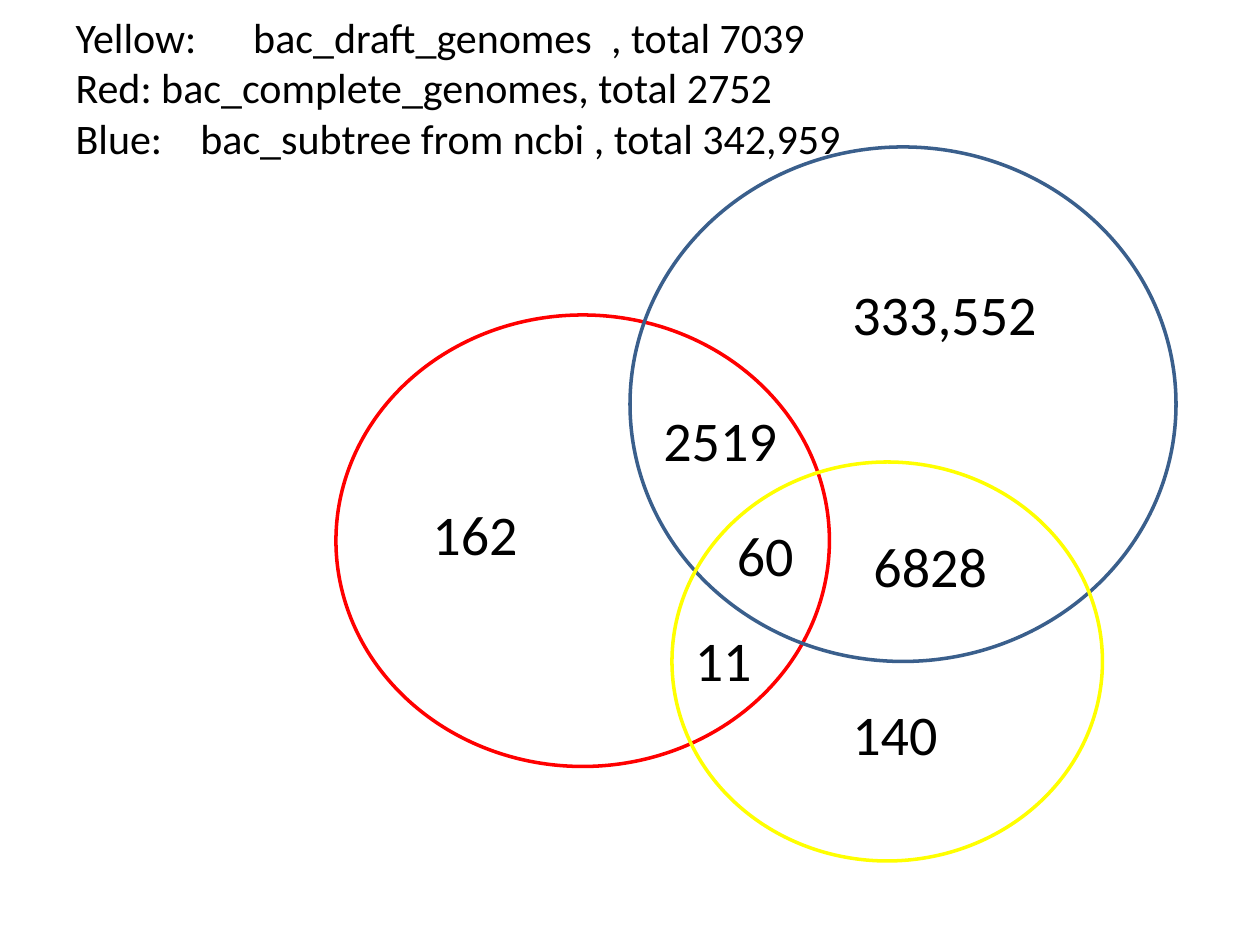
import pptx
import pptx.util
import pptx.dml.color
import pptx.enum.shapes
import pptx.enum.text
import pptx.oxml.ns
import lxml.etree

Inches, Pt = pptx.util.Inches, pptx.util.Pt
RGBColor = pptx.dml.color.RGBColor
PP_ALIGN = pptx.enum.text.PP_ALIGN

BLACK = RGBColor(0x00, 0x00, 0x00)
RED = RGBColor(0xFF, 0x00, 0x00)
BLUE = RGBColor(0x3A, 0x5F, 0x8C)
YELLOW = RGBColor(0xFF, 0xFF, 0x00)
FONT = "Calibri"
UNIT = 1 / 12  # grid step in inches

# Legend lines: text, tab stops in inches
LEGEND = [
    ("Yellow:\tbac_draft_genomes\t, total 7039", (1.41, 4.25)),
    ("Red: bac_complete_genomes, total 2752", ()),
    ("Blue:\tbac_subtree from ncbi , total 342,959", (0.99,)),
]
# Venn circles: colour, then left, top, width, height in grid steps
CIRCLES = [
    (RED, 32, 30, 47, 43),
    (BLUE, 60, 14, 52, 49),
    (YELLOW, 64, 44, 41, 38),
]
# Region counts: text, then left, top in grid steps
COUNTS = [
    ("162", 40, 47),
    ("60", 69, 49),
    ("11", 65, 59),
    ("2519", 62, 38),
    ("6828", 82, 50),
    ("140", 80, 66),
    ("333,552", 80, 26),
]
COUNT_WIDTHS = {2: 0.66, 3: 0.89, 4: 1.11, 7: 1.68}  # by text length


def grid(*steps):
    return [Inches(n * UNIT) for n in steps]


def add_text(p, text, size):
    p.alignment = PP_ALIGN.LEFT
    r = p.add_run()
    r.text = text
    r.font.size = Pt(size)
    r.font.name = FONT
    r.font.color.rgb = BLACK


def set_tabs(p, stops):
    qn = pptx.oxml.ns.qn
    tabs = lxml.etree.SubElement(p._p.get_or_add_pPr(), qn("a:tabLst"))
    for stop in stops:
        lxml.etree.SubElement(tabs, qn("a:tab"), pos=str(Inches(stop)), algn="l")


prs = pptx.Presentation()
prs.slide_width, prs.slide_height = Inches(10), Inches(7.5)
s = prs.slides.add_slide(prs.slide_layouts[5])

# Title used as the legend
title = s.shapes.title
title.left, title.top = Inches(0.5), Inches(0.3)
title.width, title.height = Inches(9), Inches(0.78)
tf = title.text_frame
tf.auto_size = pptx.enum.text.MSO_AUTO_SIZE.NONE
tf.vertical_anchor = pptx.enum.text.MSO_ANCHOR.MIDDLE
for i, (text, stops) in enumerate(LEGEND):
    p = tf.add_paragraph() if i else tf.paragraphs[0]
    add_text(p, text, 24)
    if stops:
        set_tabs(p, stops)

# Venn circles
for colour, *box in CIRCLES:
    sp = s.shapes.add_shape(pptx.enum.shapes.MSO_SHAPE.OVAL, *grid(*box))
    sp.shadow.inherit = False
    sp.fill.background()
    sp.line.color.rgb = colour
    sp.line.width = Pt(2)

# Region counts
for text, left, top in COUNTS:
    sp = s.shapes.add_textbox(*grid(left, top), Inches(COUNT_WIDTHS[len(text)]), Inches(0.64))
    tf = sp.text_frame
    tf.word_wrap = False
    tf.auto_size = pptx.enum.text.MSO_AUTO_SIZE.SHAPE_TO_FIT_TEXT
    add_text(tf.paragraphs[0], text, 32)

prs.save("out.pptx")
